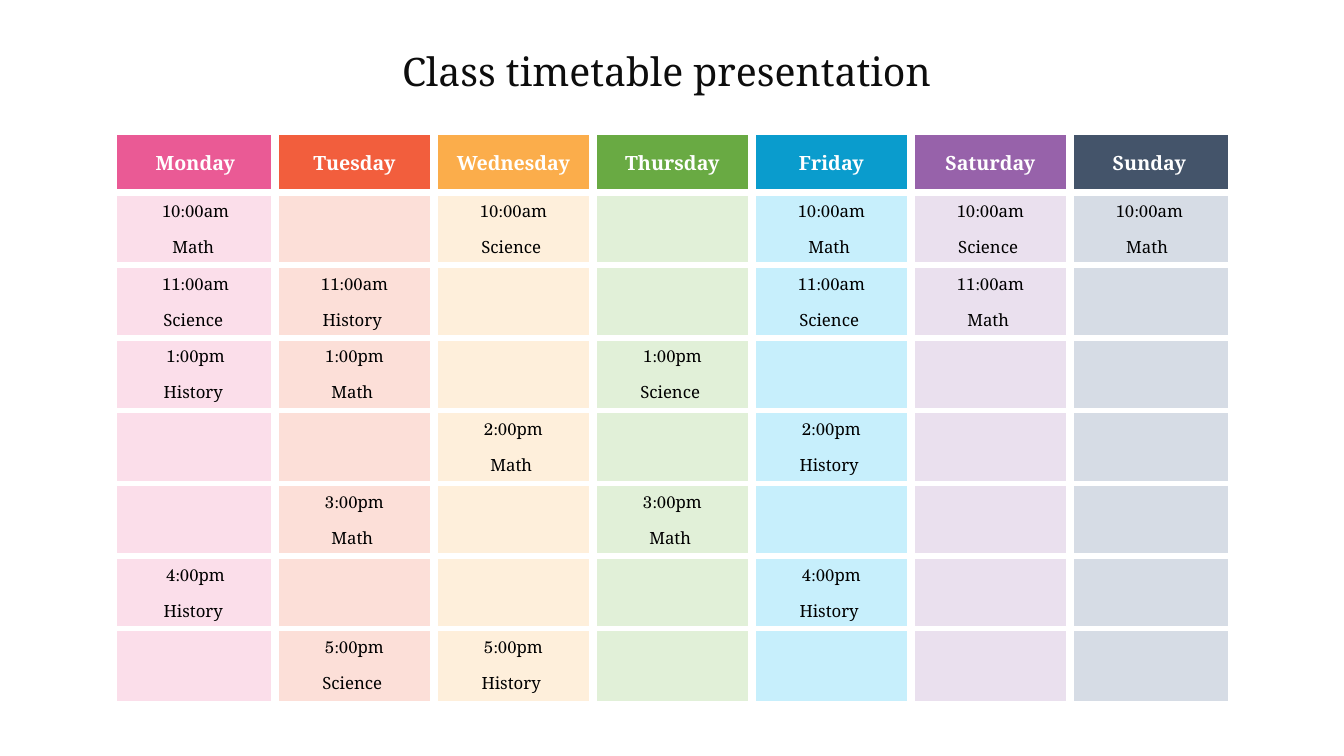
from pptx import Presentation
from pptx.dml.color import RGBColor
from pptx.enum import text
from pptx.oxml import ns, xmlchemy
from pptx.util import Inches, Pt

TITLE = "Class timetable presentation "
DAYS = [
    ("Monday", RGBColor(0xEA, 0x5A, 0x95), RGBColor(0xFB, 0xDE, 0xEA)),
    ("Tuesday", RGBColor(0xF2, 0x5E, 0x3D), RGBColor(0xFC, 0xDF, 0xD8)),
    ("Wednesday", RGBColor(0xFB, 0xAD, 0x4B), RGBColor(0xFE, 0xEF, 0xDB)),
    ("Thursday", RGBColor(0x69, 0xAA, 0x43), RGBColor(0xE1, 0xF0, 0xD8)),
    ("Friday", RGBColor(0x0A, 0x9C, 0xCD), RGBColor(0xC7, 0xEF, 0xFC)),
    ("Saturday", RGBColor(0x97, 0x62, 0xAA), RGBColor(0xEA, 0xE0, 0xEE)),
    ("Sunday", RGBColor(0x44, 0x54, 0x6A), RGBColor(0xD6, 0xDC, 0xE5)),
]
LESSONS = [
    ("10:00", "am", ["Math", "", "Science", "", "Math", "Science", "Math"]),
    ("11:00", "am", ["Science", "History", "", "", "Science", "Math", ""]),
    ("1:00", "pm", ["History", "Math", "", "Science", "", "", ""]),
    ("2:00", "pm", ["", "", "Math", "", "History", "", ""]),
    ("3:00", "pm", ["", "Math", "", "Math", "", "", ""]),
    ("4:00", "pm", ["History", "", "", "", "History", "", ""]),
    ("5:00", "pm", ["", "Science", "History", "", "", "", ""]),
]
WHITE = RGBColor(0xFF, 0xFF, 0xFF)
BLACK = RGBColor(0, 0, 0)
TITLE_COLOR = RGBColor(0x0D, 0x0D, 0x0D)
SERIF = "Noto Serif"
DIGITS = "TeX Gyre Schola"
LEFT, TOP, WIDTH, HEIGHT = 1.15, 1.33, 11.04, 5.63
HEADER_HEIGHT = 0.58
EDGE, COLUMN_GAP, LESSON_GAP = 1, 6, 4.5
ROWS = 1 + 2 * len(LESSONS)


def add_run(p, words, font, size, color, bold=False):
    r = p.add_run()
    r.text = words
    r.font.name = font
    r.font.size = Pt(size)
    r.font.color.rgb = color
    r.font.bold = bold


def line_below(row):
    if row in (-1, ROWS - 1):
        return EDGE
    if row == 0:
        return COLUMN_GAP
    return LESSON_GAP if row % 2 == 0 else 0


def set_borders(cell, row, col):
    widths = {
        "lnL": COLUMN_GAP if col else EDGE,
        "lnR": COLUMN_GAP if col < len(DAYS) - 1 else EDGE,
        "lnT": line_below(row - 1),
        "lnB": line_below(row),
    }
    tc_pr = cell._tc.get_or_add_tcPr()
    for tag, width in widths.items():
        ln = xmlchemy.OxmlElement(f"a:{tag}")
        tc_pr.append(ln)
        if width:
            ln.set("w", str(Pt(width)))
            fill = xmlchemy.OxmlElement("a:solidFill")
            color = xmlchemy.OxmlElement("a:srgbClr")
            color.set("val", str(WHITE))
            fill.append(color)
        else:
            ln.set("w", "0")
            fill = xmlchemy.OxmlElement("a:noFill")
        ln.append(fill)


def format_cell(cell, row, col, color):
    set_borders(cell, row, col)
    cell.fill.solid()
    cell.fill.fore_color.rgb = color
    cell.margin_left = cell.margin_right = 0
    cell.margin_top = cell.margin_bottom = 0
    cell.vertical_anchor = text.MSO_ANCHOR.MIDDLE
    p = cell.text_frame.paragraphs[0]
    p.alignment = text.PP_ALIGN.CENTER
    p.font.size = Pt(12)
    return p


def add_title(s):
    sp = s.shapes.title
    sp.left, sp.top = Inches(0), Inches(0.42)
    sp.width, sp.height = Inches(13.32), Inches(0.57)
    tf = sp.text_frame
    tf.auto_size = text.MSO_AUTO_SIZE.NONE
    tf.vertical_anchor = text.MSO_ANCHOR.MIDDLE
    p = tf.paragraphs[0]
    p.alignment = text.PP_ALIGN.CENTER
    add_run(p, TITLE, SERIF, 28, TITLE_COLOR)


def add_timetable(s):
    table = s.shapes.add_table(
        ROWS, len(DAYS), Inches(LEFT), Inches(TOP), Inches(WIDTH), Inches(HEIGHT)
    ).table
    table.horz_banding = False
    for column in table.columns:
        column.width = Inches(WIDTH / len(DAYS))
    for row, line in enumerate(table.rows):
        body_height = (HEIGHT - HEADER_HEIGHT) / (ROWS - 1)
        line.height = Inches(body_height if row else HEADER_HEIGHT)

    for col, (day, strong, pale) in enumerate(DAYS):
        p = format_cell(table.cell(0, col), 0, col, strong)
        add_run(p, day, SERIF, 14, WHITE, True)
        for i, (hour, half, subjects) in enumerate(LESSONS):
            row = 1 + 2 * i
            time_p = format_cell(table.cell(row, col), row, col, pale)
            subject_p = format_cell(table.cell(row + 1, col), row + 1, col, pale)
            if subjects[col]:
                add_run(time_p, hour, DIGITS, 12, BLACK)
                add_run(time_p, half, SERIF, 12, BLACK)
                add_run(subject_p, subjects[col] + " ", SERIF, 12, BLACK)


def main():
    prs = Presentation()
    prs.slide_width, prs.slide_height = Inches(13.33), Inches(7.5)
    s = prs.slides.add_slide(prs.slide_layouts[5])
    s.background.fill.solid()
    s.background.fill.fore_color.rgb = WHITE
    add_title(s)
    add_timetable(s)
    prs.save("out.pptx")


if __name__ == "__main__":
    main()
